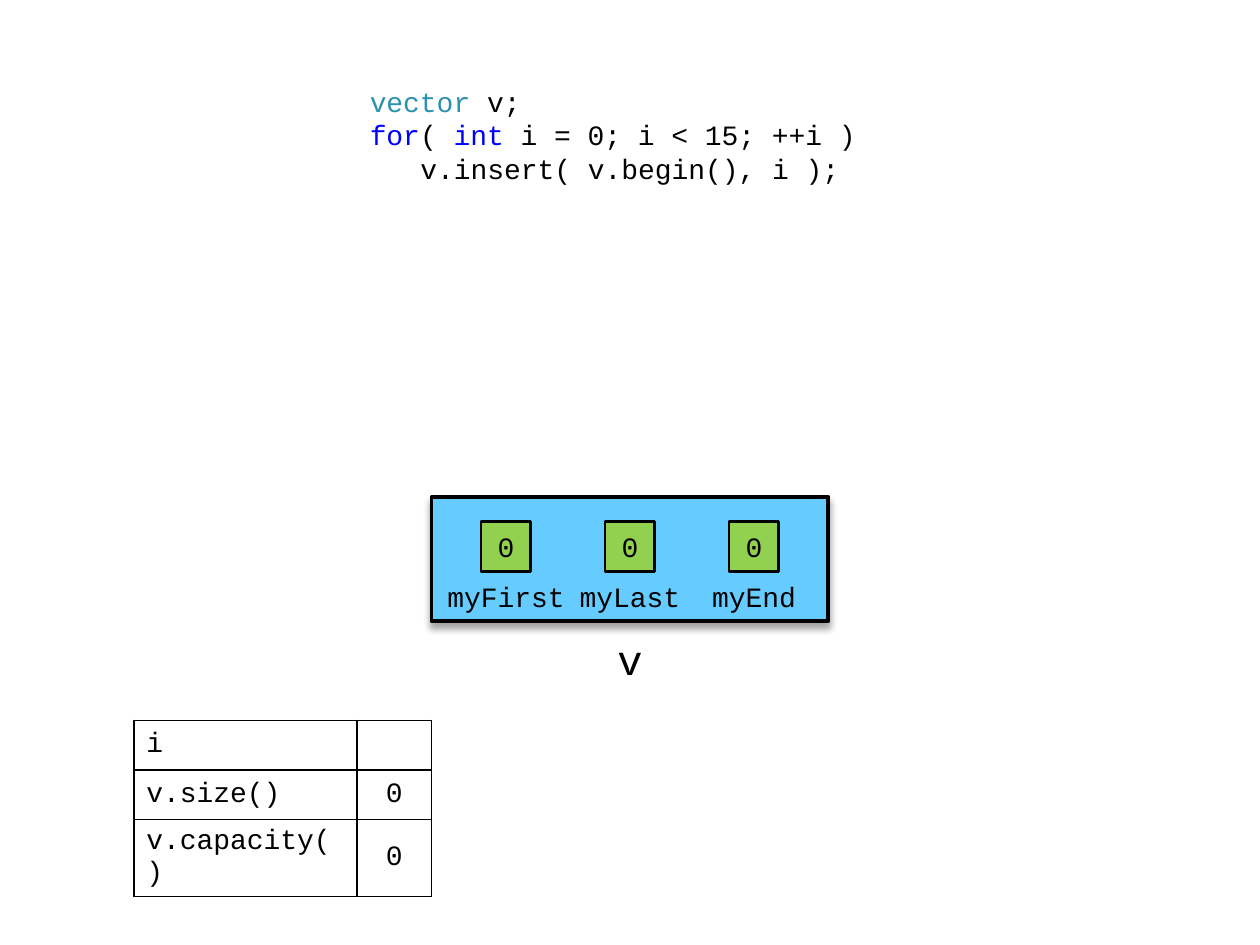
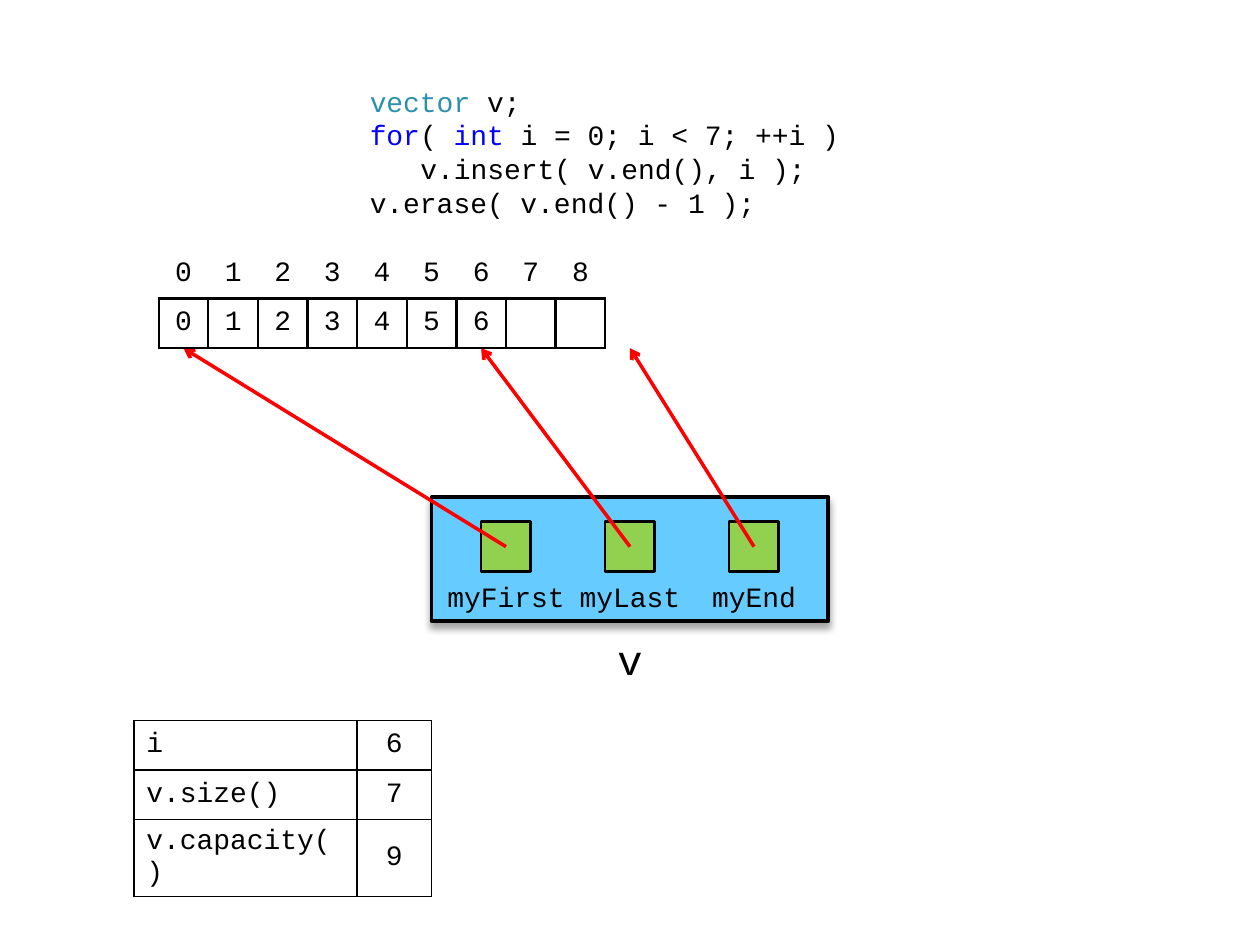
import pptx
import pptx.util
import pptx.dml.color
import pptx.enum.shapes
import pptx.enum.text
import pptx.oxml
import pptx.oxml.ns

PX = 3600  # EMU per px, so that 100 px is one centimetre
CELL = 100
FONT = "Courier New"
BLACK, RED, BLUE, TEAL = "000000", "FF0000", "0000FF", "2B91AF"
BOX_FILL, POINTER_FILL = "66CCFF", "92D050"
BOX_LEFT, BOX_TOP = 870, 1002
ARRAY_LEFT, ARRAY_TOP = 320, 502
DRAWING_NS = pptx.oxml.ns.nsdecls("a")
SHAPES = pptx.enum.shapes.MSO_SHAPE
CENTER = pptx.enum.text.PP_ALIGN.CENTER
LEFT = pptx.enum.text.PP_ALIGN.LEFT
MIDDLE = pptx.enum.text.MSO_ANCHOR.MIDDLE


def paint(target, colour):
    """Give a fill, line or font a solid colour from a hex string."""
    if hasattr(target, "solid"):
        target.solid()
        target = target.fore_color
    else:
        target = target.color
    target.rgb = pptx.dml.color.RGBColor.from_string(colour)


def write(text_frame, text, size=16, align=CENTER):
    text_frame.text = text
    paragraph = text_frame.paragraphs[0]
    paragraph.alignment = align
    for run in paragraph.runs:
        run.font.name = FONT
        run.font.size = pptx.util.Pt(size)
        paint(run.font, BLACK)


# What differs between the slides; a code line is (indent, coloured pieces)
states = [
    {
        "code_height": 250,
        "code": [
            (0, [("vector ", TEAL), ("v;", BLACK)]),
            (0, [("for", BLUE), ("( ", BLACK), ("int", BLUE), (" i = 0; i < 15; ++i )", BLACK)]),
            (102, [("v.insert( v.begin(), i );", BLACK)]),
        ],
        "elements": [],
        "pointers": ["0", "0", "0"],
        "targets": [],
        "values": ["", "0", "0"],
    },
    {
        "code_height": 300,
        "code": [
            (0, [("vector", TEAL), (" v;", BLACK)]),
            (0, [("for", BLUE), ("( ", BLACK), ("int", BLUE), (" i = 0; i < 7; ++i )", BLACK)]),
            (102, [("v.insert( v.end(), i );", BLACK)]),
            (0, [("v.erase( v.end() - 1 );", BLACK)]),
        ],
        "elements": ["0", "1", "2", "3", "4", "5", "6", "", ""],
        "pointers": ["", "", ""],
        "targets": [0, 6, 9],
        "values": ["6", "7", "9"],
    },
]

presentation = pptx.Presentation()
presentation.slide_width = 2540 * PX
presentation.slide_height = 1905 * PX

for state in states:
    slide = presentation.slides.add_slide(presentation.slide_layouts[1])
    title = slide.shapes.title
    title.element.getparent().remove(title.element)

    # Code in the body placeholder
    code = slide.placeholders[1]
    code.left, code.top = 720 * PX, 152 * PX
    code.width, code.height = 1100 * PX, state["code_height"] * PX
    frame = code.text_frame
    frame.auto_size = pptx.enum.text.MSO_AUTO_SIZE.NONE
    frame.margin_top = 18 * PX
    frame.text = "\n".join("".join(text for text, colour in pieces) for indent, pieces in state["code"])
    for paragraph, (indent, pieces) in zip(frame.paragraphs, state["code"]):
        paragraph.space_before = pptx.util.Pt(0)
        paragraph.line_spacing = pptx.util.Pt(19.2)
        properties = paragraph._p.get_or_add_pPr()
        properties.set("marL", str(indent * PX))
        properties.set("indent", "0")
        properties.append(pptx.oxml.parse_xml(f"<a:buNone {DRAWING_NS}/>"))
        paragraph.runs[0].text = pieces[0][0]
        for text, colour in pieces[1:]:
            paragraph.add_run().text = text
        for run, (text, colour) in zip(paragraph.runs, pieces):
            run.font.name = FONT
            run.font.size = pptx.util.Pt(16)
            paint(run.font, colour)

    # Vector box with its soft shadow, and its name below
    box = slide.shapes.add_shape(SHAPES.FLOWCHART_PROCESS, BOX_LEFT * PX, BOX_TOP * PX, 800 * PX, 250 * PX)
    paint(box.fill, BOX_FILL)
    paint(box.line.fill, BLACK)
    box.line.width = pptx.util.Pt(2.25)
    box._element.spPr.append(pptx.oxml.parse_xml(
        f'<a:effectLst {DRAWING_NS}><a:outerShdw blurRad="50800" dist="38100" dir="5400000" rotWithShape="0">'
        '<a:srgbClr val="000000"><a:alpha val="35000"/></a:srgbClr></a:outerShdw></a:effectLst>'))
    name = slide.shapes.add_textbox(1170 * PX, 1252 * PX, 200 * PX, 150 * PX)
    name.text_frame.word_wrap = True
    name.text_frame.vertical_anchor = MIDDLE
    write(name.text_frame, "v", 24)

    # Pointer members: a square and a label each
    for index, (member, value) in enumerate(zip(["myFirst", "myLast", "myEnd"], state["pointers"])):
        left = BOX_LEFT + 250 * index
        label = slide.shapes.add_shape(
            SHAPES.FLOWCHART_PROCESS, left * PX, (BOX_TOP + 150) * PX, 300 * PX, CELL * PX)
        label.fill.background()
        label.line.fill.background()
        square = slide.shapes.add_shape(
            SHAPES.RECTANGLE, (left + 100) * PX, (BOX_TOP + 50) * PX, CELL * PX, CELL * PX)
        paint(square.fill, POINTER_FILL)
        paint(square.line.fill, BLACK)
        square.line.width = pptx.util.Pt(1.5)
        for shape, text in [(label, member), (square, value)]:
            shape.shadow.inherit = False
            shape.text_frame.vertical_anchor = MIDDLE
            write(shape.text_frame, text)

    # Arrows from the pointers to the array cells
    for index, target in enumerate(state["targets"]):
        arrow = slide.shapes.add_connector(
            pptx.enum.shapes.MSO_CONNECTOR.STRAIGHT,
            (BOX_LEFT + 250 * index + 150) * PX, (BOX_TOP + 100) * PX,
            (ARRAY_LEFT + CELL * target + 50) * PX, (ARRAY_TOP + 2 * CELL) * PX)
        paint(arrow.line.fill, RED)
        arrow.line.width = pptx.util.Pt(2)
        arrow.line._get_or_add_ln().append(pptx.oxml.parse_xml(f'<a:tailEnd {DRAWING_NS} type="arrow"/>'))
        arrow._element.spPr.append(pptx.oxml.parse_xml(f"<a:effectLst {DRAWING_NS}/>"))

    # Tables: rows, left, top, column widths, side margin, line width, sides of the first row
    labels = ["i", "v.size()", "v.capacity()"]
    tables = [(list(zip(labels, state["values"])), 270, 1452, [450, 150], 25, 1, "LRTB")]
    if state["elements"]:
        elements = state["elements"]
        indices = [str(index) for index in range(len(elements))]
        tables.append(([indices, elements], ARRAY_LEFT, ARRAY_TOP, [CELL] * len(elements), 16, 1.5, "B"))
    for rows, left, top, widths, margin, line_width, first_sides in tables:
        table = slide.shapes.add_table(
            len(rows), len(widths), left * PX, top * PX, sum(widths) * PX, CELL * len(rows) * PX).table
        table.first_row = table.horz_banding = False
        for column, width in zip(table.columns, widths):
            column.width = width * PX
        for row_index, texts in enumerate(rows):
            table.rows[row_index].height = CELL * PX
            for column_index, text in enumerate(texts):
                cell = table.cell(row_index, column_index)
                cell.fill.background()
                cell.vertical_anchor = MIDDLE
                cell.margin_left = cell.margin_right = margin * PX
                cell.margin_top = cell.margin_bottom = 10 * PX
                write(cell.text_frame, text, align=LEFT if text in labels else CENTER)
                sides = "LRTB" if row_index else first_sides
                for position, side in enumerate(sides):
                    cell._tc.get_or_add_tcPr().insert(position, pptx.oxml.parse_xml(
                        f'<a:ln{side} {DRAWING_NS} w="{int(line_width * 12700)}"><a:solidFill>'
                        f'<a:srgbClr val="{BLACK}"/></a:solidFill></a:ln{side}>'))

presentation.save("out.pptx")
